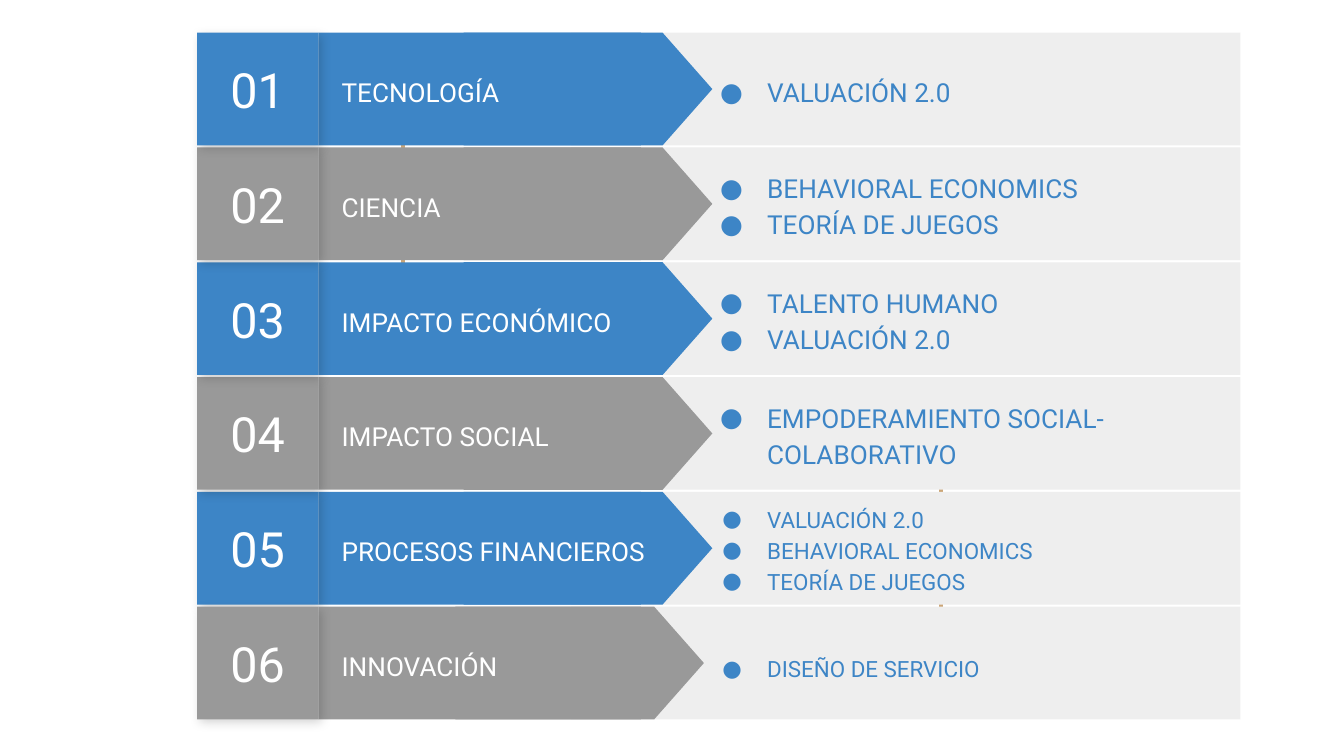
import lxml.etree
import pptx
import pptx.util
import pptx.dml.color
import pptx.enum.shapes
import pptx.enum.text
import pptx.oxml
import pptx.oxml.ns

Pt = pptx.util.Pt
qn = pptx.oxml.ns.qn
SHAPE = pptx.enum.shapes.MSO_SHAPE
ALIGN = pptx.enum.text.PP_ALIGN

COLOURS = {
    "blue": "3D85C6",
    "grey": "999999",
    "panel": "EEEEEE",
    "white": "FFFFFF",
    "bracket": "CCA677",
    "shadow": "000000",
}

ROW_TOP, ROW_PITCH, ROW_HEIGHT = 17.5, 61.5, 60.4
TILE_LEFT, TILE_WIDTH = 105.6, 65
BAND_LEFT, BAND_WIDTH = TILE_LEFT + TILE_WIDTH, 172.8
PANEL_LEFT, PANEL_WIDTH = 306, 358.5
ARROW_TIP, ARROW_LENGTH = 381.6, 133.2
LABEL_LEFT, LABEL_WIDTH, LABEL_HEIGHT = 175.9, 182, 46.8
DETAILS_LEFT, DETAILS_WIDTH = 367.9, 278.6

# label, details, details text size, arrow shift, details shift
ROWS = [
    ("TECNOLOGÍA", ["VALUACIÓN 2.0"], 14, 0, 0.5),
    ("CIENCIA", ["BEHAVIORAL ECONOMICS", "TEORÍA DE JUEGOS"], 14, 0, 0),
    ("IMPACTO ECONÓMICO", ["TALENTO HUMANO", "VALUACIÓN 2.0"], 14, 0, 0),
    ("IMPACTO SOCIAL", ["EMPODERAMIENTO SOCIAL-COLABORATIVO"], 14, 0, 0),
    ("PROCESOS FINANCIEROS",
     ["VALUACIÓN 2.0", "BEHAVIORAL ECONOMICS", "TEORÍA DE JUEGOS"], 12, 0, 0),
    ("INNOVACIÓN", ["DISEÑO DE SERVICIO"], 12, -4.5, 2),
]
# Tile shadows fall on the row below, so the stacking order matters.
BACK_TO_FRONT = [5, 4, 3, 2, 6, 1]


class Deck:
    font = "Roboto"

    def __init__(self, width, height):
        self.presentation = pptx.Presentation()
        self.presentation.slide_width = Pt(width)
        self.presentation.slide_height = Pt(height)
        blank = self.presentation.slide_layouts[6]
        self.slide = self.presentation.slides.add_slide(blank)

    def colour(self, name):
        return pptx.dml.color.RGBColor.from_string(COLOURS[name])

    def bracket(self, points):
        start, *rest = [(Pt(x), Pt(y)) for x, y in points]
        builder = self.slide.shapes.build_freeform(*start)
        builder.add_line_segments(rest, close=False)
        outline = builder.convert_to_shape()
        outline.shadow.inherit = False
        outline.fill.background()
        outline.line.color.rgb = self.colour("bracket")
        outline.line.width = Pt(2.25)

    def block(self, left, top, width, height, fill, kind=SHAPE.RECTANGLE):
        block = self.slide.shapes.add_shape(
            kind, Pt(left), Pt(top), Pt(width), Pt(height))
        block.shadow.inherit = False
        block.fill.solid()
        block.fill.fore_color.rgb = self.colour(fill)
        block.line.fill.background()
        return block

    def arrow(self, tip, top, fill):
        """Off-page connector turned to point right, ending at tip."""
        left = tip - (ARROW_LENGTH + ROW_HEIGHT) / 2
        arrow = self.block(left, top + (ROW_HEIGHT - ARROW_LENGTH) / 2,
                           ROW_HEIGHT, ARROW_LENGTH, fill,
                           SHAPE.FLOWCHART_OFFPAGE_CONNECTOR)
        arrow.rotation = 270

    def tile(self, top, number, fill):
        tile = self.block(TILE_LEFT, top, TILE_WIDTH, ROW_HEIGHT, fill)
        self.set_text(tile, [number], 26, "white", ALIGN.CENTER)
        effects = tile._element.spPr.find(qn("a:effectLst"))
        shadow = lxml.etree.SubElement(
            effects, qn("a:outerShdw"), blurRad=str(Pt(5.6)),
            dist=str(Pt(2.2)), dir="2700000", algn="bl", rotWithShape="0")
        tint = lxml.etree.SubElement(
            shadow, qn("a:srgbClr"), val=COLOURS["shadow"])
        lxml.etree.SubElement(tint, qn("a:alpha"), val="17000")

    def text(self, left, top, width, height, lines, size, colour):
        box = self.slide.shapes.add_textbox(
            Pt(left), Pt(top), Pt(width), Pt(height))
        return self.set_text(box, lines, size, colour, ALIGN.LEFT, 1.15)

    def bullets(self, left, top, width, height, lines, size):
        hanging = 25.2 if size == 14 else 24
        for paragraph in self.text(left, top, width, height, lines, size, "blue"):
            properties = paragraph._p.get_or_add_pPr()
            properties.set("marL", str(Pt(36)))
            properties.set("indent", str(-Pt(hanging)))
            tint = lxml.etree.SubElement(properties, qn("a:buClr"))
            lxml.etree.SubElement(tint, qn("a:srgbClr"), val=COLOURS["blue"])
            lxml.etree.SubElement(properties, qn("a:buFont"), typeface=self.font)
            lxml.etree.SubElement(properties, qn("a:buChar"), char="●")
            # The schema wants the default run properties after the bullet.
            properties.append(properties.find(qn("a:defRPr")))

    def set_text(self, shape, lines, size, colour, align, spacing=None):
        frame = shape.text_frame
        frame.word_wrap = True
        frame.vertical_anchor = pptx.enum.text.MSO_ANCHOR.MIDDLE
        frame.margin_left = frame.margin_right = Pt(7.2)
        frame.margin_top = frame.margin_bottom = Pt(7.2)
        frame.text = "\n".join(lines)
        for paragraph in frame.paragraphs:
            paragraph.alignment = align
            paragraph.line_spacing = spacing
            paragraph.font.name = self.font
            paragraph.font.size = Pt(size)
            paragraph.font.color.rgb = self.colour(colour)
        return frame.paragraphs

    def row(self, number, label, details, size, arrow_shift, details_shift):
        top = ROW_TOP + (number - 1) * ROW_PITCH
        fill = "blue" if number % 2 else "grey"
        self.block(PANEL_LEFT, top, PANEL_WIDTH, ROW_HEIGHT, "panel")
        self.block(BAND_LEFT, top, BAND_WIDTH, ROW_HEIGHT, fill)
        self.arrow(ARROW_TIP + arrow_shift, top, fill)
        self.tile(top, f"{number:02}", fill)
        self.bullets(DETAILS_LEFT, top + details_shift, DETAILS_WIDTH,
                     ROW_HEIGHT, details, size)
        self.text(LABEL_LEFT, top + (ROW_HEIGHT - LABEL_HEIGHT) / 2 + 0.4,
                  LABEL_WIDTH, LABEL_HEIGHT, [label], 14, "white")


def main():
    deck = Deck(720, 405)
    deck.bracket([(216, 148.5), (216, 60), (301, 60)])
    deck.bracket([(504, 257), (504, 345.5), (419, 345.5)])
    for number in BACK_TO_FRONT:
        deck.row(number, *ROWS[number - 1])
    deck.presentation.save("out.pptx")


if __name__ == "__main__":
    main()
